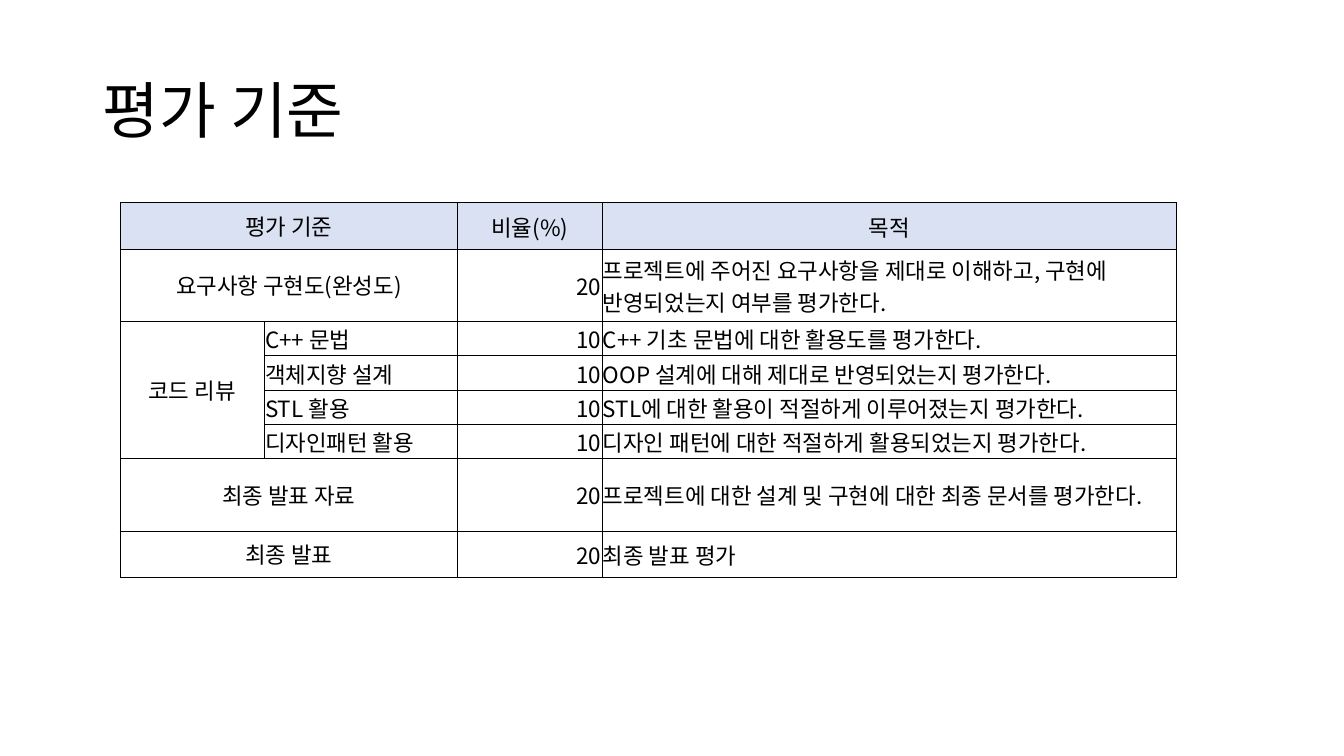
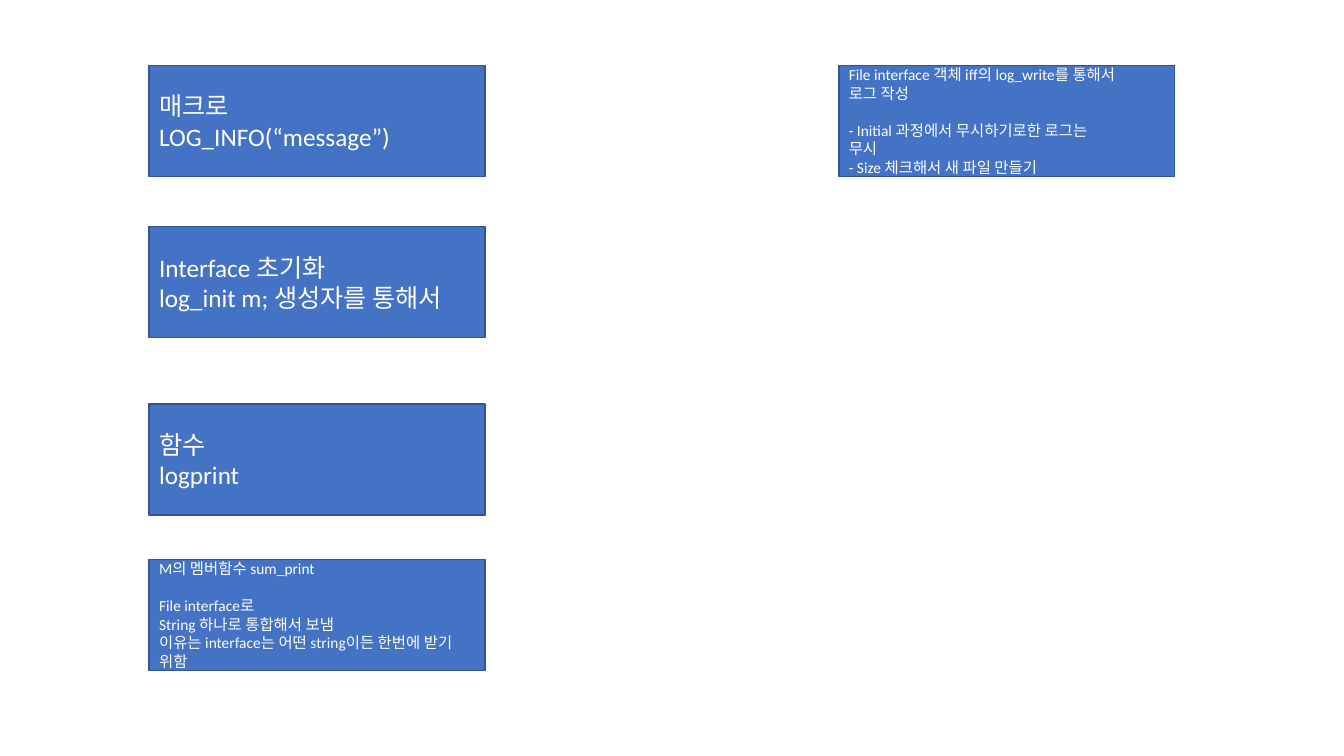
from dataclasses import dataclass

from lxml.etree import SubElement
from pptx import Presentation
from pptx.dml.color import RGBColor as Rgb
from pptx.enum.shapes import MSO_SHAPE as Preset
from pptx.enum.text import MSO_ANCHOR as Anchor, PP_ALIGN as Align
from pptx.oxml.ns import qn
from pptx.util import Inches, Pt


@dataclass(frozen=True)
class Theme:
    ink: str = "000000"
    paper: str = "FFFFFF"
    box: str = "4472C4"
    outline: str = "325491"
    header: str = "D9E1F2"
    latin: str = "Calibri"
    korean: str = "Noto Sans CJK KR"
    title_size: int = 44
    table_size: int = 16
    step_size: int = 18
    detail_size: int = 11
    border: float = 0.5


THEME = Theme()
TITLE_ONLY, BLANK = 5, 6
LABEL_INSETS = (0.14, 0.07, 0.14, 0.07)
TIGHT_INSETS = (0.01, 0.01, 0.01, 0)


def apply(target, values):
    for name, value in values.items():
        setattr(target, name, value)


def margins(left, top, right, bottom):
    return {"margin_left": Inches(left), "margin_top": Inches(top),
            "margin_right": Inches(right), "margin_bottom": Inches(bottom)}


class Deck:
    def __init__(self, theme):
        self.theme = theme
        self.file = Presentation()
        apply(self.file, {"slide_width": Inches(13.33), "slide_height": Inches(7.5)})
        self.slide = None

    def new_slide(self, layout):
        self.slide = self.file.slides.add_slide(self.file.slide_layouts[layout])

    def add_text(self, paragraph, text, size, color, latin, align=Align.LEFT):
        paragraph.alignment = align
        run = paragraph.add_run()
        run.text = text
        apply(run.font, {"size": Pt(size), "name": latin, "bold": False})
        run.font.color.rgb = Rgb.from_string(color)
        SubElement(run.font._element, qn("a:ea"), typeface=self.theme.korean)

    def title(self, text):
        heading = self.slide.shapes.title
        apply(heading, {"left": Inches(0.92), "top": Inches(0.4),
                        "width": Inches(11.5), "height": Inches(1.45)})
        heading.text_frame.vertical_anchor = Anchor.MIDDLE
        line = heading.text_frame.paragraphs[0]
        line.line_spacing = 0.9
        self.add_text(line, text, self.theme.title_size, self.theme.ink, self.theme.latin)

    def box(self, left, top, size, groups):
        """Draw a box; each group of lines after the first is set off by one line."""
        box = self.slide.shapes.add_shape(
            Preset.RECTANGLE, Inches(left), Inches(top), Inches(3.33), Inches(1.1))
        box.shadow.inherit = False
        box.fill.solid()
        box.fill.fore_color.rgb = Rgb.from_string(self.theme.box)
        box.line.color.rgb = Rgb.from_string(self.theme.outline)
        box.line.width = Pt(1)
        frame = box.text_frame
        apply(frame, {"word_wrap": True, "vertical_anchor": Anchor.MIDDLE})
        paragraph = frame.paragraphs[0]
        for group_no, group in enumerate(groups):
            for line_no, text in enumerate(group):
                if group_no or line_no:
                    paragraph = frame.add_paragraph()
                if group_no and not line_no:
                    paragraph.space_before = Pt(size * 1.2)
                self.add_text(paragraph, text, size, self.theme.paper, self.theme.latin)

    def table(self, left, top, widths, heights, rows, merges):
        table = self.slide.shapes.add_table(
            len(rows), len(widths), Inches(left), Inches(top),
            Inches(sum(widths)), Inches(sum(heights))).table
        apply(table, {"first_row": False, "horz_banding": False})
        for column, width in zip(table.columns, widths):
            column.width = Inches(width)
        for row, height in zip(table.rows, heights):
            row.height = Inches(height)
        for first, last in merges:
            table.cell(*first).merge(table.cell(*last))
        for row_no, row in enumerate(rows):
            for column_no, text in enumerate(row):
                self.cell(table.cell(row_no, column_no), text, row_no == 0, column_no)

    def cell(self, cell, text, is_header, column_no):
        insets = LABEL_INSETS if cell.is_merge_origin else TIGHT_INSETS
        apply(cell, {"vertical_anchor": Anchor.MIDDLE, **margins(*insets)})
        self.borders(cell)
        if is_header:
            cell.fill.solid()
            cell.fill.fore_color.rgb = Rgb.from_string(self.theme.header)
        else:
            cell.fill.background()
        if not text:
            return
        if is_header or cell.is_merge_origin:
            align = Align.CENTER
        else:
            align = Align.RIGHT if column_no == 2 else Align.LEFT
        self.add_text(cell.text_frame.paragraphs[0], text, self.theme.table_size,
                      self.theme.ink, self.theme.korean, align)

    def borders(self, cell):
        properties = cell._tc.get_or_add_tcPr()
        for side in ("lnL", "lnR", "lnT", "lnB"):
            line = SubElement(properties, qn(f"a:{side}"), w=str(Pt(self.theme.border)))
            fill = SubElement(line, qn("a:solidFill"))
            SubElement(fill, qn("a:srgbClr"), val=self.theme.ink)


# Evaluation criteria
CRITERIA = [
    ("평가 기준", "", "비율(%)", "목적"),
    ("요구사항 구현도(완성도)", "", "20",
     "프로젝트에 주어진 요구사항을 제대로 이해하고, 구현에 반영되었는지 여부를 평가한다."),
    ("코드 리뷰", "C++ 문법", "10", "C++ 기초 문법에 대한 활용도를 평가한다."),
    ("", "객체지향 설계", "10", "OOP 설계에 대해 제대로 반영되었는지 평가한다."),
    ("", "STL 활용", "10", "STL에 대한 활용이 적절하게 이루어졌는지 평가한다."),
    ("", "디자인패턴 활용", "10", "디자인 패턴에 대한 적절하게 활용되었는지 평가한다."),
    ("최종 발표 자료", "", "20",
     "프로젝트에 대한 설계 및 구현에 대한 최종 문서를 평가한다."),
    ("최종 발표", "", "20", "최종 발표 평가"),
]
REVIEW_MERGE = ((2, 0), (5, 0))
LABEL_MERGES = [((row, 0), (row, 1)) for row in (0, 1, 6, 7)]

# Logging flow: left, top, text size, groups of lines
FLOW_LEFT, FILE_LEFT, FLOW_TOP = 1.48, 8.32, 0.65
LOG_FLOW = [
    (FLOW_LEFT, FLOW_TOP, THEME.step_size, [["매크로", "LOG_INFO(“message”)"]]),
    (FLOW_LEFT, 2.25, THEME.step_size,
     [["Interface 초기화", "log_init m; 생성자를 통해서"]]),
    (FLOW_LEFT, 4.01, THEME.step_size, [["함수", "logprint"]]),
    (FLOW_LEFT, 5.55, THEME.detail_size,
     [["M의 멤버함수 sum_print"],
      ["File interface로", "String 하나로 통합해서 보냄",
       "이유는 interface는 어떤 string이든 한번에 받기 위함"]]),
    (FILE_LEFT, FLOW_TOP, THEME.detail_size,
     [["File interface 객체 iff의 log_write를 통해서", "로그 작성"],
      ["- Initial 과정에서 무시하기로한 로그는", "무시",
       "- Size 체크해서 새 파일 만들기"]]),
]


def main():
    deck = Deck(THEME)

    # Criteria slide
    deck.new_slide(TITLE_ONLY)
    deck.title("평가 기준")
    deck.table(1.19, 2.01, [1.43, 1.92, 1.43, 5.7],
               [0.46, 0.72] + [0.34] * 4 + [0.72, 0.46],
               CRITERIA, [REVIEW_MERGE, *LABEL_MERGES])

    # Logging slide
    deck.new_slide(BLANK)
    for step in LOG_FLOW:
        deck.box(*step)

    deck.file.save("out.pptx")


if __name__ == "__main__":
    main()
